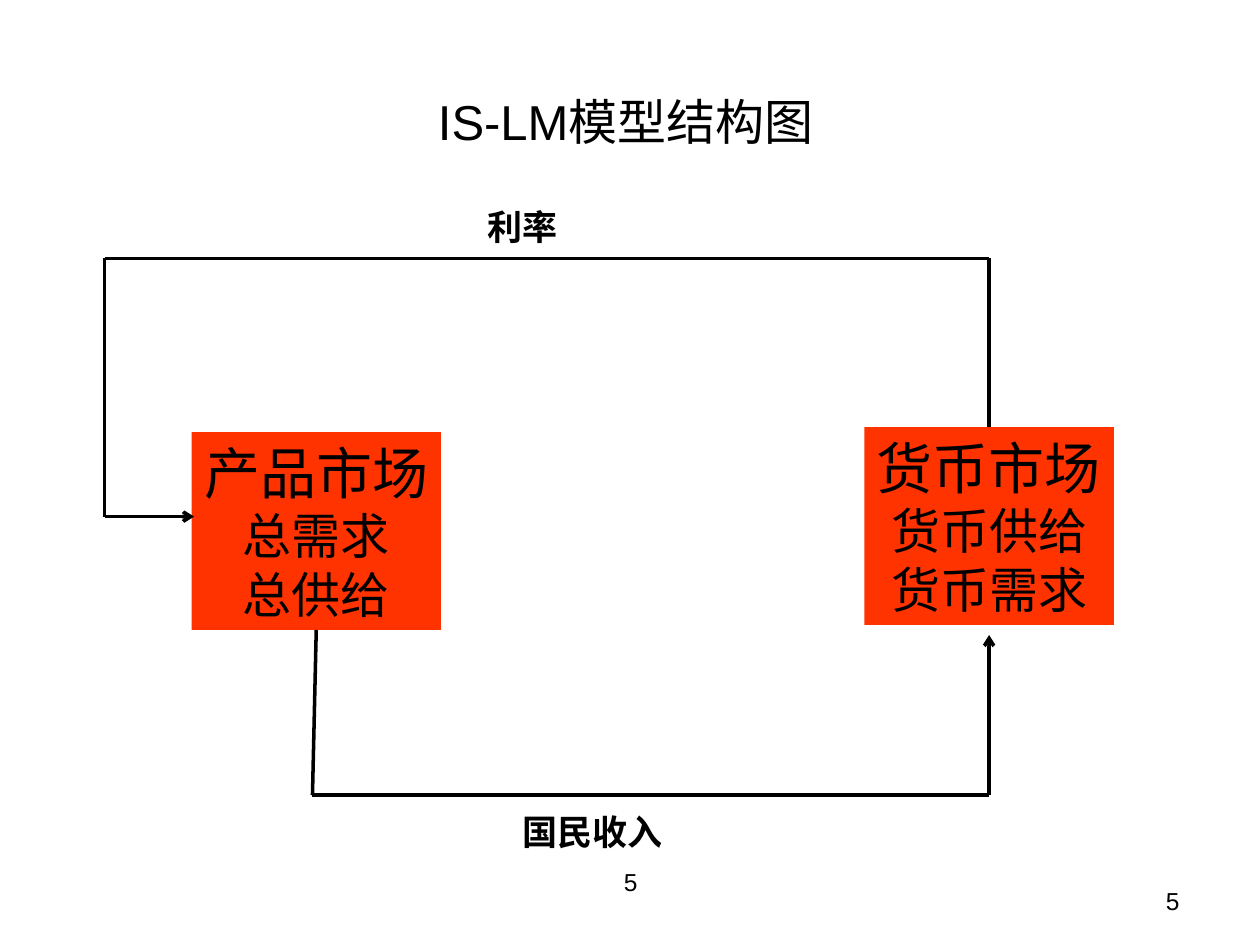
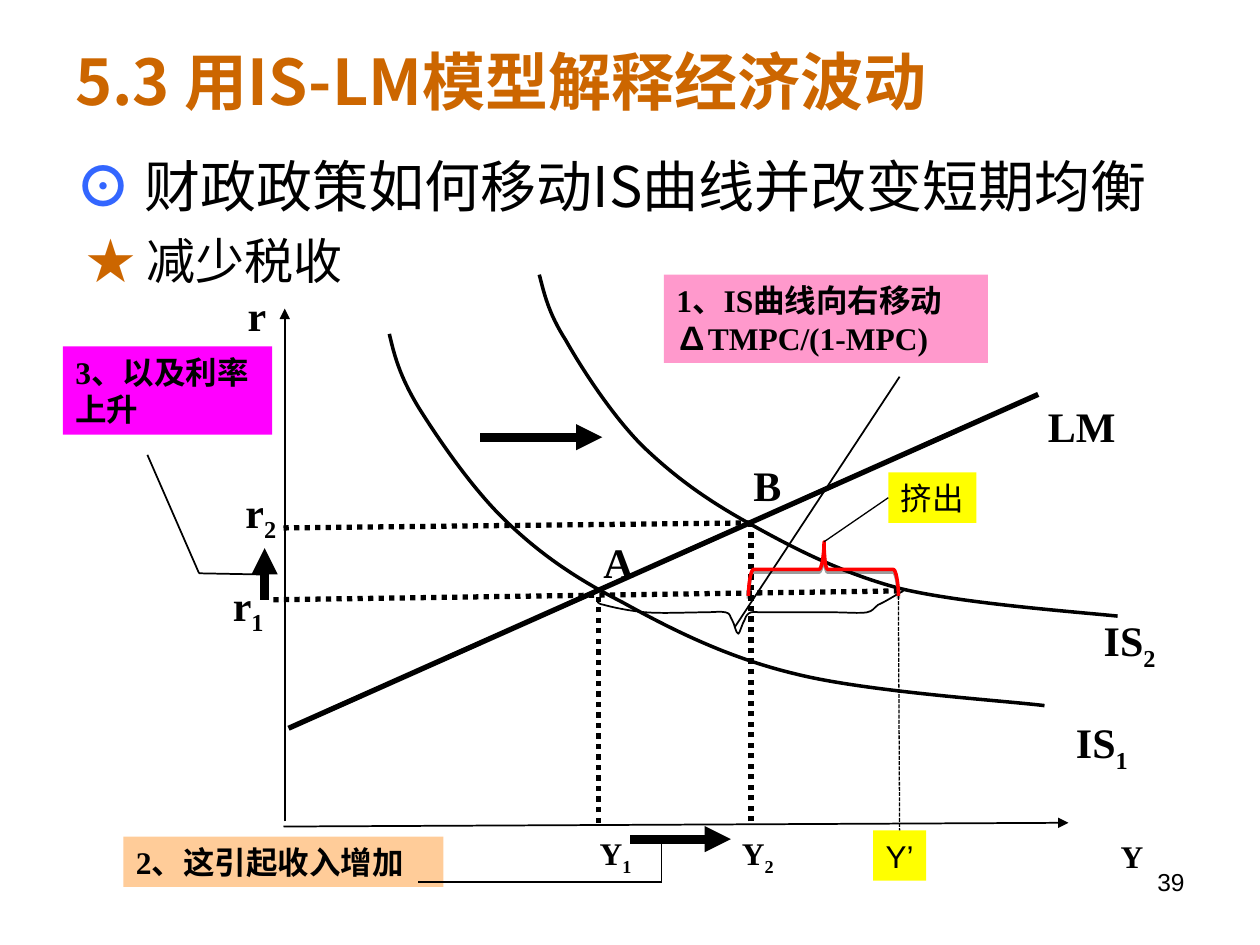
from lxml.etree import SubElement
from pptx import Presentation
from pptx.dml.color import RGBColor
from pptx.enum.dml import MSO_LINE as Dash
from pptx.enum.shapes import MSO_CONNECTOR as Connector, MSO_SHAPE as Shape
from pptx.enum.text import MSO_ANCHOR as Anchor, MSO_AUTO_SIZE as AutoSize, PP_ALIGN as Align
from pptx.oxml.ns import qn
from pptx.util import Inches, Pt

COLUMNS, ROWS = 100, 75  # square grid cells over the whole slide
CELL = Inches(0.1)
BLACK, RED, ORANGE, BLUE, YELLOW = "000000", "FF3300", "CC6600", "3366FF", "FFFF00"
SANS, SERIF, CJK, SYMBOL = "Arial", "Times New Roman", "Noto Sans CJK SC", "Noto Sans CJK KR"
TOP, LEFT, BOTTOM = 0, 1, 2


def cells(*counts):
    return [round(count * CELL) for count in counts]


def color(hex_string):
    return RGBColor.from_string(hex_string)


def style_run(run, size, font=SANS, ink=BLACK, bold=False):
    run.font.size, run.font.bold, run.font.name = Pt(size), bold, font
    run.font.color.rgb = color(ink)
    SubElement(run.font._element, qn("a:ea"), typeface=CJK)


def add_styled_run(paragraph, text, *style):
    run = paragraph.add_run()
    run.text = text
    style_run(run, *style)
    return run


def add_frame(slide, area, fill=None, wrap=True, anchor=Anchor.TOP):
    """Add a text area, as a filled rectangle when a fill is given."""
    if fill:
        frame = slide.shapes.add_shape(Shape.RECTANGLE, *cells(*area))
        frame.shadow.inherit = False
        frame.fill.solid()
        frame.fill.fore_color.rgb = color(fill)
        frame.line.fill.background()
    else:
        frame = slide.shapes.add_textbox(*cells(*area))
    frame.text_frame.word_wrap = wrap
    frame.text_frame.vertical_anchor = anchor
    if not wrap:
        frame.text_frame.auto_size = AutoSize.SHAPE_TO_FIT_TEXT
    return frame


def add_label(slide, area, lines, sizes, font=SANS, ink=BLACK, bold=False,
              align=Align.CENTER, **frame_options):
    """Write lines of text; the last size serves all remaining lines."""
    frame = add_frame(slide, area, **frame_options)
    frame.text_frame.text = lines
    for index, paragraph in enumerate(frame.text_frame.paragraphs):
        paragraph.alignment = align
        for run in paragraph.runs:
            style_run(run, sizes[min(index, len(sizes) - 1)], font, ink, bold)
    return frame


def add_symbol(slide, left, top, width, symbol, size=24):
    """Write a graph symbol; what follows an underscore is a subscript."""
    name, _, subscript = symbol.partition("_")
    label = add_label(slide, (left, top, width, 5), name, [size], SERIF, bold=True)
    if subscript:
        paragraph = label.text_frame.paragraphs[0]
        run = add_styled_run(paragraph, subscript, size, SERIF, BLACK, True)
        run.font._element.set("baseline", "-25000")


def add_page_number(slide, left, top, width, number, align=Align.RIGHT):
    add_label(slide, (left, top, width, 5.2), number, [14], align=align)


def add_line(slide, start, end, width=1, dash=None, head=None):
    connector = slide.shapes.add_connector(Connector.STRAIGHT, *cells(*start, *end))
    connector.line.width = Pt(width)
    connector.line.color.rgb = color(BLACK)
    if dash:
        connector.line.dash_style = dash
    if head:
        SubElement(connector.line._get_or_add_ln(), qn("a:tailEnd"), type=head)
    SubElement(connector._element.spPr, qn("a:effectLst"))
    return connector


def bend(line_step, controls, origin):
    """Turn a straight step of an outline into a cubic one."""
    line_step.tag = qn("a:cubicBezTo")
    end_point = line_step[0]
    for x, y in (controls[:2], controls[2:]):
        left, top = cells(x, y)
        control = SubElement(line_step, qn("a:pt"),
                             x=str(left - origin[0]), y=str(top - origin[1]))
        end_point.addprevious(control)


def add_curve(slide, start, segments, width=2, ink=BLACK):
    """Draw cubic segments (x1, y1, x2, y2, x3, y3) and straight ones (x, y)."""
    builder = slide.shapes.build_freeform(*cells(*start))
    builder.add_line_segments([cells(*segment[-2:]) for segment in segments], close=False)
    curve = builder.convert_to_shape()
    steps = list(curve._element.spPr.iter(qn("a:lnTo")))
    for step, segment in zip(steps, segments):
        if len(segment) == 6:
            bend(step, segment[:4], (curve.left, curve.top))
    curve.shadow.inherit = False
    curve.fill.background()
    curve.line.color.rgb = color(ink)
    curve.line.width = Pt(width)
    return curve


def add_drop_shadow(shape):
    effects = shape._element.spPr.find(qn("a:effectLst"))
    shadow = SubElement(effects, qn("a:outerShdw"), dist="20000", dir="5400000",
                        rotWithShape="0")
    tint = SubElement(shadow, qn("a:srgbClr"), val=BLACK)
    SubElement(tint, qn("a:alpha"), val="38000")


def build_structure(slide):
    add_page_number(slide, 34.2, 68.3, 31.7, "5", Align.CENTER)
    add_page_number(slide, 71.3, 69.8, 23.3, "5")
    goods, money = [
        add_label(slide, (left, top, 19.8, 15.7), lines, [32, 28], fill=RED, wrap=False)
        for left, top, lines in ((15.2, 34.3, "产品市场\n总需求\n总供给"),
                                 (68.6, 33.9, "货币市场\n货币供给\n货币需求"))]

    income_left, money_x, income_y = 24.8, 78.5, 63.1
    rate_left, rate_y, entry_y = 8.3, 20.5, 41
    income = add_line(slide, (25.1, 50), (income_left, income_y), 2)
    income.begin_connect(goods, BOTTOM)
    add_line(slide, (income_left, income_y), (money_x, income_y), 2)
    add_line(slide, (money_x, income_y), (money_x, 50.4), 2, head="arrow")
    rate = add_line(slide, (money_x, 33.9), (money_x, rate_y), 2)
    rate.begin_connect(money, TOP)
    add_line(slide, (money_x, rate_y), (rate_left, rate_y), 2)
    add_line(slide, (rate_left, rate_y), (rate_left, entry_y), 2)
    add_line(slide, (rate_left, entry_y), (15.4, entry_y), 2, head="arrow")

    add_label(slide, (37.7, 15.8, 7.6, 4.4), "利率", [20], bold=True, wrap=False)
    add_label(slide, (40.5, 63.8, 13.1, 4.4), "国民收入", [20], bold=True, wrap=False)
    add_label(slide, (33.3, 6.8, 32.7, 5.7), "IS-LM模型结构图", [28], wrap=False)


def add_headings(slide):
    add_label(slide, (5, 1.3, 90, 10.2), "5.3 用IS-LM模型解释经济波动", [36], CJK, ORANGE,
              True, Align.LEFT, anchor=Anchor.MIDDLE)
    body = add_frame(slide, (5, 11.5, 90, 54.7)).text_frame
    topics = (("⊙ ", BLUE, True, "财政政策如何移动IS曲线并改变短期均衡", 32, 0, -0.38),
              ("★ ", ORANGE, False, "减少税收", 28, 7, -0.29))
    for index, (mark, ink, bold, topic, size, before, indent) in enumerate(topics):
        paragraph = body.add_paragraph() if index else body.paragraphs[0]
        properties = paragraph._p.get_or_add_pPr()
        properties.set("marL", str(Inches(0.38)))
        properties.set("indent", str(Inches(indent)))
        paragraph.space_before = Pt(before)
        add_styled_run(paragraph, mark, size, CJK, ink, bold)
        add_styled_run(paragraph, topic, size, CJK)


def add_note(slide, area, text, fill):
    return add_label(slide, area, text, [18], SERIF, bold=True, align=Align.LEFT, fill=fill)


def add_graph(slide):
    add_line(slide, (22.6, 65.2), (22.6, 24.5), head="triangle")
    add_line(slide, (22.5, 65.6), (84.8, 65.3), head="triangle")
    add_curve(slide, (30.9, 26.5), [
        (31.3, 28.2, 31.7, 29.8, 33.2, 32.3), (34.7, 34.7, 37.4, 38.7, 40.1, 41.3),
        (42.8, 43.9, 45.5, 45.8, 49.4, 47.8), (53.2, 49.9, 57.7, 52.2, 63.2, 53.5),
        (68.8, 54.9, 79.6, 55.6, 82.9, 56)])
    add_curve(slide, (42.8, 21.8), [
        (43.2, 23.3, 43.5, 24.8, 44.9, 27), (46.2, 29.3, 48.6, 33, 51, 35.4),
        (53.4, 37.7, 55.8, 39.5, 59.2, 41.4), (62.6, 43.3, 66.5, 45.4, 71.4, 46.7),
        (76.3, 47.9, 85.8, 48.6, 88.7, 48.9)])
    add_line(slide, (22.9, 57.8), (82.4, 31.3), 3)

    for start, end in (((21.7, 47.6), (71.4, 46.9)), ((59.6, 65.2), (59.6, 41.5)),
                       ((47.5, 65.3), (47.5, 46.9)), ((22.5, 41.9), (59.6, 41.5))):
        add_line(slide, start, end, 3, Dash.ROUND_DOT)
    for start, end in (((38.1, 34.7), (47.8, 34.7)), ((50, 66.6), (58, 66.6)),
                       ((21, 47.6), (21, 43.5))):
        add_line(slide, start, end, 5, head="triangle")

    for symbol in ((14.6, 22.5, 11.6, "r"), (83, 56.4, 8.9, "IS_1"),
                   (85.4, 48.3, 8.5, "IS_2"), (16.7, 45.5, 6, "r_1"),
                   (17.7, 38.1, 6, "r_2"), (46.1, 42.1, 6, "A"), (57.9, 36, 6, "B"),
                   (80.6, 31.3, 10.5, "LM"), (87, 65.9, 5.7, "Y", 18),
                   (45, 65.7, 7.7, "Y_1", 18), (56.3, 65.7, 7.7, "Y_2", 18)):
        add_symbol(slide, *symbol)


def add_explanations(slide):
    shift = add_note(slide, (52.7, 21.8, 25.7, 7), "1、IS曲线向右移动", "FF99CC")
    formula = shift.text_frame.paragraphs[0]
    add_styled_run(formula, "∆", 18, SYMBOL, BLACK, True)
    add_styled_run(formula, "TMPC/(1-MPC)", 18, SERIF, BLACK, True)
    add_note(slide, (5, 27.5, 16.6, 7), "3、以及利率上升", "FF00FF")
    add_note(slide, (9.8, 66.4, 25.4, 4), "2、这引起收入增加", "FFCC99")
    for start, end in (((58.3, 49.8), (71.4, 29.9)), ((11.7, 36.1), (15.8, 45.5)),
                       ((15.8, 45.5), (21, 45.6)), ((33.2, 70), (52.5, 70)),
                       ((52.5, 66.4), (52.5, 70))):
        add_line(slide, start, end)
    add_curve(slide, (47.5, 47.5), [
        (47.4, 47.7, 47.3, 47.9, 47.9, 48), (48.6, 48.2, 50, 48.5, 51.3, 48.6),
        (52.6, 48.7, 54.6, 48.6, 55.7, 48.6), (56.7, 48.6, 57.2, 48.5, 57.6, 48.6),
        (58, 48.7, 57.9, 48.9, 58.1, 49.2), (58.3, 49.5, 58.4, 50.3, 58.6, 50.3),
        (58.7, 50.3, 58.9, 49.5, 59.1, 49.2), (59.2, 48.9, 59.3, 48.7, 59.6, 48.6),
        (59.8, 48.5, 59.9, 48.6, 60.5, 48.6), (61.2, 48.6, 62.5, 48.6, 63.4, 48.6),
        (64.4, 48.6, 65.5, 48.6, 66.3, 48.6), (67.2, 48.6, 68.2, 48.7, 68.8, 48.6),
        (69.3, 48.5, 69.3, 48.3, 69.7, 48), (70.2, 47.8, 71.3, 47.1, 71.7, 46.9)], 1)


def add_crowding_out(slide):
    potential = add_label(slide, (69.3, 65.9, 4.2, 4), "Y’", [18], fill=YELLOW, wrap=False)
    drop = add_line(slide, (71.3, 46.9), (71.4, 65.9), 0.75, Dash.SQUARE_DOT)
    drop.end_connect(potential, TOP)
    brace = add_curve(slide, (59.4, 47.3), [
        (59.4, 46.3, 59.6, 45.2, 59.8, 45.2), (65, 45.2),
        (65.2, 45.2, 65.4, 44.1, 65.4, 43), (65.4, 44.1, 65.5, 45.2, 65.7, 45.2),
        (70.9, 45.2), (71.1, 45.2, 71.3, 46.3, 71.3, 47.3)], ink="FF0000")
    add_drop_shadow(brace)
    crowding = add_label(slide, (70.5, 37.5, 7, 4), "挤出", [18], fill=YELLOW, wrap=False)
    pointer = add_line(slide, (65.4, 43), (70.5, 39.5), 0.75)
    pointer.end_connect(crowding, LEFT)


def build_fluctuations(slide):
    add_headings(slide)
    add_page_number(slide, 71.7, 68.3, 23.3, "39")
    add_graph(slide)
    add_explanations(slide)
    add_crowding_out(slide)


def main():
    deck = Presentation()
    deck.slide_width, deck.slide_height = cells(COLUMNS, ROWS)
    blank = deck.slide_layouts[6]
    for build in (build_structure, build_fluctuations):
        build(deck.slides.add_slide(blank))
    deck.save("out.pptx")


if __name__ == "__main__":
    main()
